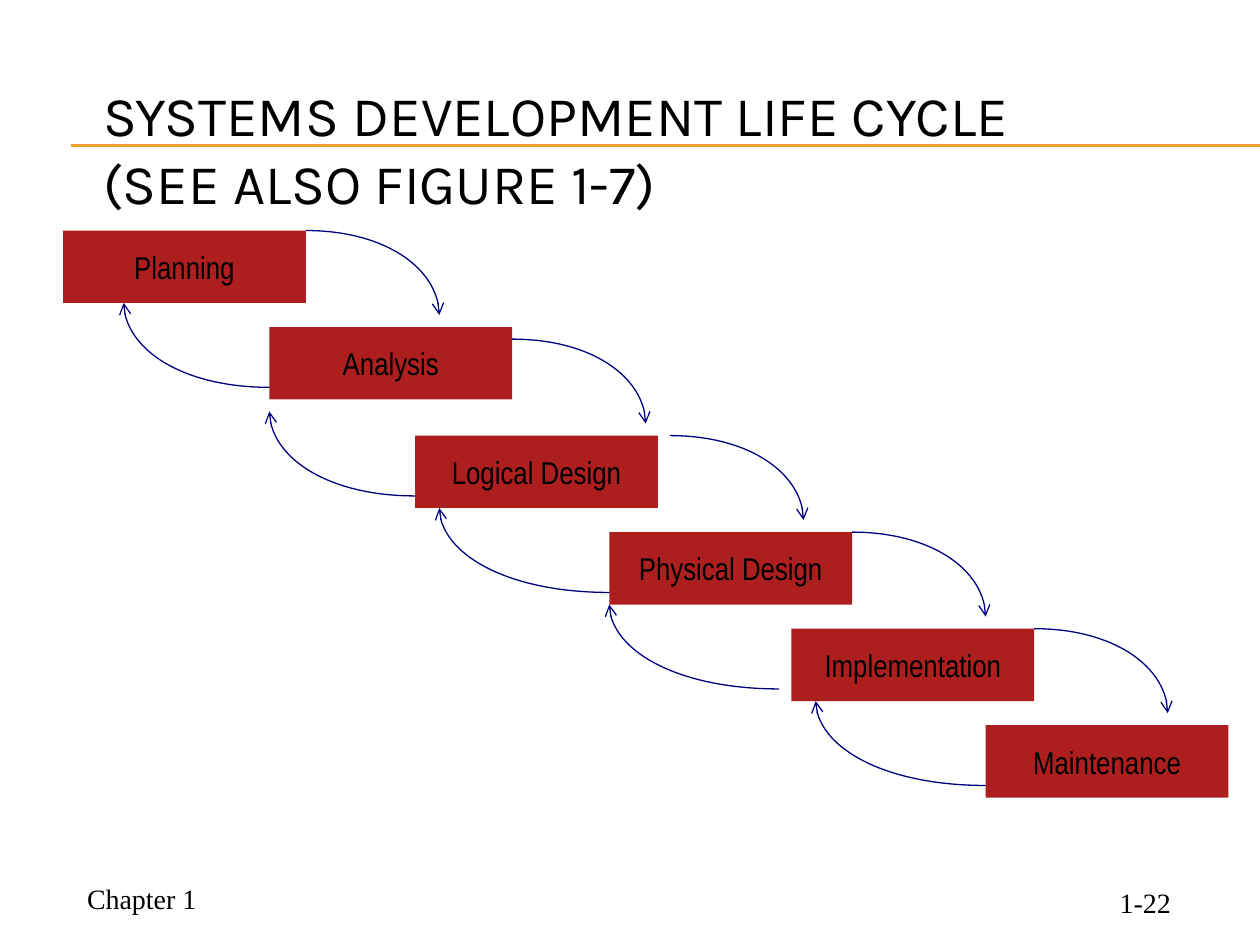
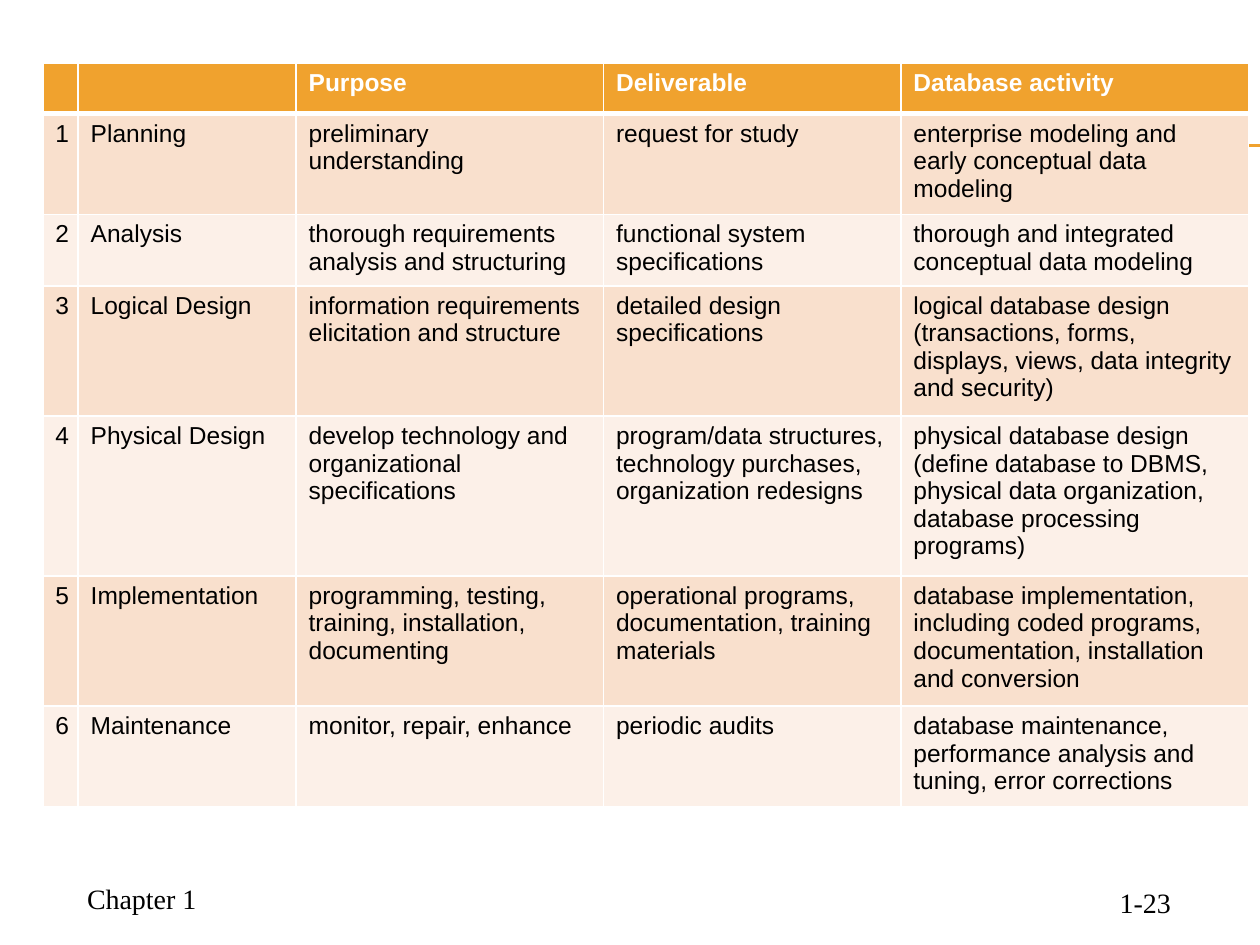
from lxml.etree import SubElement
from pptx import Presentation
from pptx.dml.color import RGBColor
from pptx.enum.shapes import MSO_CONNECTOR, MSO_SHAPE
from pptx.enum.text import MSO_ANCHOR, PP_ALIGN
from pptx.oxml import parse_xml
from pptx.oxml.ns import nsdecls, qn
from pptx.util import Inches, Pt

TITLE = "SYSTEMS DEVELOPMENT LIFE CYCLE\v(SEE ALSO FIGURE 1-7)"
CHAPTER = "Chapter 1"
PAGES = ["1-22", "1-23"]

STAGES = [
    {"name": "Planning", "at": (0, 0), "exit": (20, 0)},
    {"name": "Analysis", "at": (17, 8), "exit": (20, 1), "back": (0, 12)},
    {"name": "Logical Design", "at": (29, 17), "exit": (21, 0), "back": (0, 12)},
    {"name": "Physical Design", "at": (45, 25), "exit": (20, 0), "back": (0, 14)},
    {"name": "Implementation", "at": (60, 33), "exit": (20, 0), "back": (-1, 14)},
    {"name": "Maintenance", "at": (76, 41), "back": (0, 14)},
]

HEADINGS = ("", "", "Purpose", "Deliverable", "Database activity")
ACTIVITIES = [
    ("preliminary understanding", "request for study",
     "enterprise modeling and early conceptual data modeling"),
    ("thorough requirements analysis and structuring", "functional system specifications",
     "thorough and integrated conceptual data modeling"),
    ("information requirements elicitation and structure", "detailed design specifications",
     "logical database design (transactions, forms, displays, views, data integrity and security)"),
    ("develop technology and organizational specifications",
     "program/data structures, technology purchases, organization redesigns",
     "physical database design (define database to DBMS, physical data organization, "
     "database processing programs)"),
    ("programming, testing, training, installation, documenting",
     "operational programs, documentation, training materials",
     "database implementation, including coded programs, documentation, installation and conversion"),
    ("monitor, repair, enhance", "periodic audits",
     "database maintenance, performance analysis and tuning, error corrections"),
]
COLUMN_WIDTHS = (0.28, 1.73, 2.44, 2.36, 2.76)
ACTIVITY_LINES = (3, 2, 4, 5, 4, 3)
HEADING_HEIGHT, LINE_HEIGHT, CELL_PADDING = 0.4, 0.22, 0.1

COLORS = {"black": "000000", "white": "FFFFFF", "amber": "F0A22E", "red": "AD1F1F",
          "navy": "000080", "peach": "F9E0CD", "cream": "FCF0E8"}
FORMATS = {
    "title": {"name": "Karla", "size": Pt(32), "color": "black"},
    "footer": {"name": "Times New Roman", "size": Pt(16), "color": "black"},
    "stage": {"name": "Arial Narrow", "size": Pt(18), "color": "black"},
    "heading": {"name": "Arial", "size": Pt(14), "bold": True, "color": "white"},
    "body": {"name": "Arial", "size": Pt(14), "bold": False, "color": "black"},
}

WIDTH, HEIGHT = 10, 7.5
FLOW_LEFT, FLOW_TOP = 0.5, 1.83
COLUMN, ROW = 9.25 / 96, 4.5 / 47
STAGE_SIZE = (20, 6)
FORWARD_REACH, ARROW_DROP, BACK_ROW = 11, 7, 5
BEND = 0.55


def color(key):
    return RGBColor.from_string(COLORS[key])


def write(frame, text, style, align=PP_ALIGN.LEFT, anchor=MSO_ANCHOR.MIDDLE, wrap=True):
    frame.word_wrap = wrap
    frame.vertical_anchor = anchor
    frame.text = text
    paragraph = frame.paragraphs[0]
    paragraph.alignment = align
    for run in paragraph.runs:
        for attribute, value in FORMATS[style].items():
            if attribute == "color":
                run.font.color.rgb = color(value)
            else:
                setattr(run.font, attribute, value)


def add_text(slide, box, text, style, **placing):
    frame = slide.shapes.add_textbox(*map(Inches, box)).text_frame
    write(frame, text, style, **placing)


def add_base(deck, page):
    slide = deck.slides.add_slide(deck.slide_layouts[6])
    for y in (1.15, 1.16):
        rule = slide.shapes.add_connector(
            MSO_CONNECTOR.STRAIGHT, *map(Inches, (0.56, y, WIDTH, y)))
        rule.line.color.rgb = color("amber")
        rule.line.width = Pt(0.75)
        SubElement(rule.element.spPr, qn("a:effectLst"))
    for box, text in (((0.53, 6.91, 1.19, 0.4), CHAPTER), ((8.56, 6.94, 1.06, 0.4), page)):
        add_text(slide, box, text, "footer", align=PP_ALIGN.CENTER, anchor=MSO_ANCHOR.BOTTOM)
    return slide


def on_grid(column, row):
    return Inches(FLOW_LEFT + column * COLUMN), Inches(FLOW_TOP + row * ROW)


def add_stage(slide, stage):
    size = Inches(STAGE_SIZE[0] * COLUMN), Inches(STAGE_SIZE[1] * ROW)
    box = slide.shapes.add_shape(MSO_SHAPE.RECTANGLE, *on_grid(*stage["at"]), *size)
    box.shadow.inherit = False
    box.fill.solid()
    box.fill.fore_color.rgb = color("red")
    box.line.fill.background()
    write(box.text_frame, stage["name"], "stage", align=PP_ALIGN.CENTER, wrap=False)


def add_curve(slide, column, row, reach, drop):
    bends = [(column + BEND * reach, row), (column + reach, row + (1 - BEND) * drop),
             (column + reach, row + drop)]
    builder = slide.shapes.build_freeform(*on_grid(column, row))
    builder.add_line_segments([on_grid(*bend) for bend in bends], close=False)
    curve = builder.convert_to_shape()
    segments = curve.element.xpath(".//a:lnTo")
    outline = segments[0].getparent()
    bezier = SubElement(outline, qn("a:cubicBezTo"))
    for segment in segments:
        bezier.append(segment[0])
        outline.remove(segment)
    curve.shadow.inherit = False
    curve.fill.background()
    curve.line.color.rgb = color("navy")
    curve.line.width = Pt(0.75)
    SubElement(curve.element.xpath(".//a:ln")[0], qn("a:tailEnd"), type="arrow")


def add_cycle(slide):
    add_text(slide, (0.72, 0.55, 8.5, 1.25), TITLE, "title")
    for stage in STAGES:
        add_stage(slide, stage)
    for stage in STAGES:
        column, row = stage["at"]
        if "exit" in stage:
            right, down = stage["exit"]
            add_curve(slide, column + right, row + down, FORWARD_REACH, ARROW_DROP)
        if "back" in stage:
            shift, reach = stage["back"]
            add_curve(slide, column + shift, row + BACK_ROW, -reach, -ARROW_DROP)


def add_borders(cell, bottom):
    properties = cell._tc.get_or_add_tcPr()
    for place, (side, points) in enumerate((("L", 1), ("R", 1), ("T", 1), ("B", bottom))):
        properties.insert(place, parse_xml(
            f'<a:ln{side} {nsdecls("a")} w="{Pt(points)}"><a:solidFill>'
            f'<a:srgbClr val="{COLORS["white"]}"/></a:solidFill></a:ln{side}>'))


def add_activities(slide):
    rows = [HEADINGS] + [
        (str(number), stage["name"], *activity)
        for number, (stage, activity) in enumerate(zip(STAGES, ACTIVITIES), 1)]
    heights = [HEADING_HEIGHT] + [CELL_PADDING + LINE_HEIGHT * lines for lines in ACTIVITY_LINES]
    table = slide.shapes.add_table(
        len(rows), len(HEADINGS), Inches(0.34), Inches(0.5),
        Inches(sum(COLUMN_WIDTHS)), Inches(sum(heights))).table
    for column, width in zip(table.columns, COLUMN_WIDTHS):
        column.width = Inches(width)
    for table_row, height in zip(table.rows, heights):
        table_row.height = Inches(height)
    for r, row in enumerate(rows):
        fill = "amber" if r == 0 else ("cream", "peach")[r % 2]
        for c, text in enumerate(row):
            cell = table.cell(r, c)
            cell.fill.solid()
            cell.fill.fore_color.rgb = color(fill)
            add_borders(cell, 1 if r else 3)
            write(cell.text_frame, text, "body" if r else "heading",
                  align=PP_ALIGN.LEFT if c else PP_ALIGN.CENTER, anchor=MSO_ANCHOR.TOP)


def main():
    deck = Presentation()
    deck.slide_width, deck.slide_height = Inches(WIDTH), Inches(HEIGHT)
    for page, add_content in zip(PAGES, (add_cycle, add_activities)):
        add_content(add_base(deck, page))
    deck.save("out.pptx")


if __name__ == "__main__":
    main()
